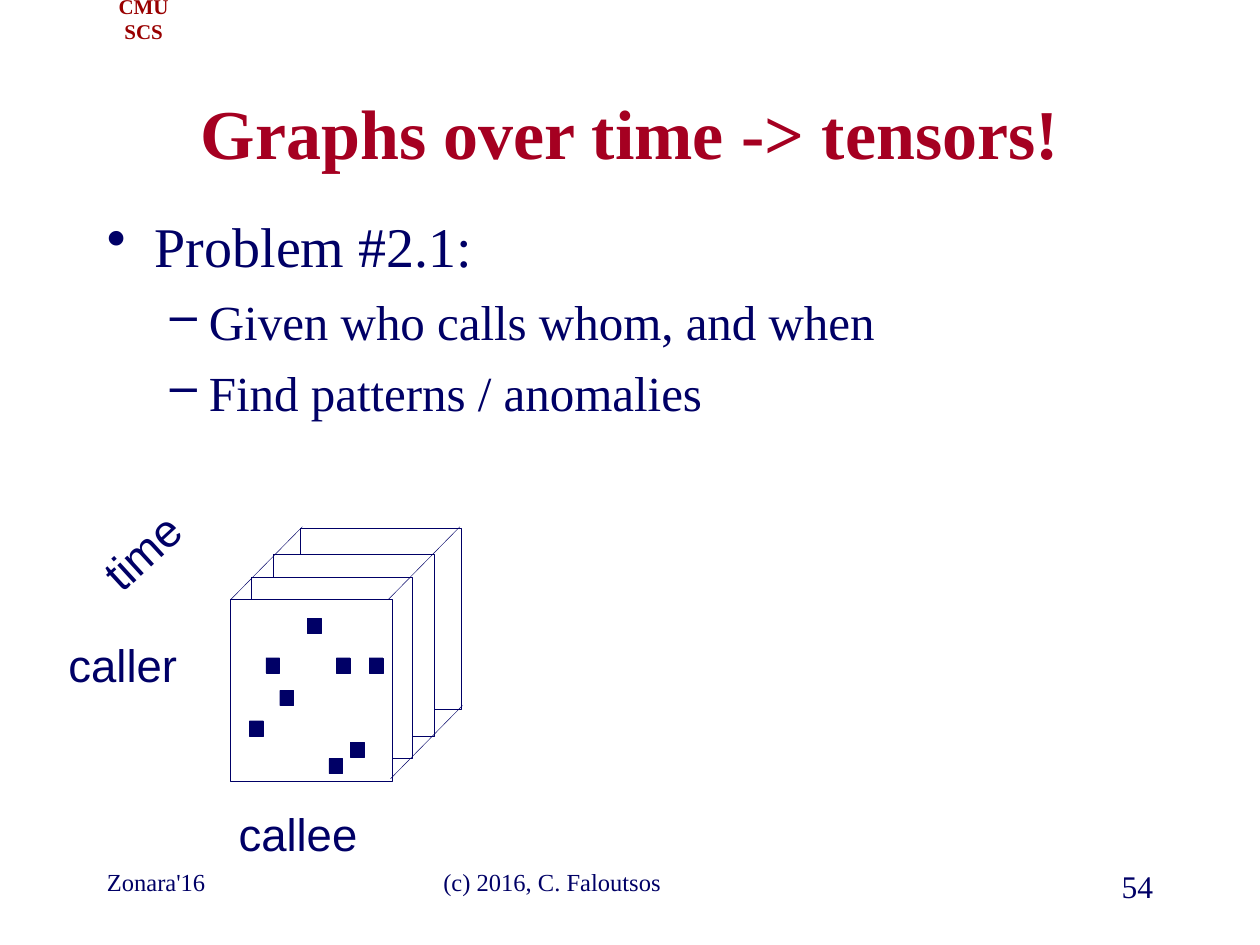
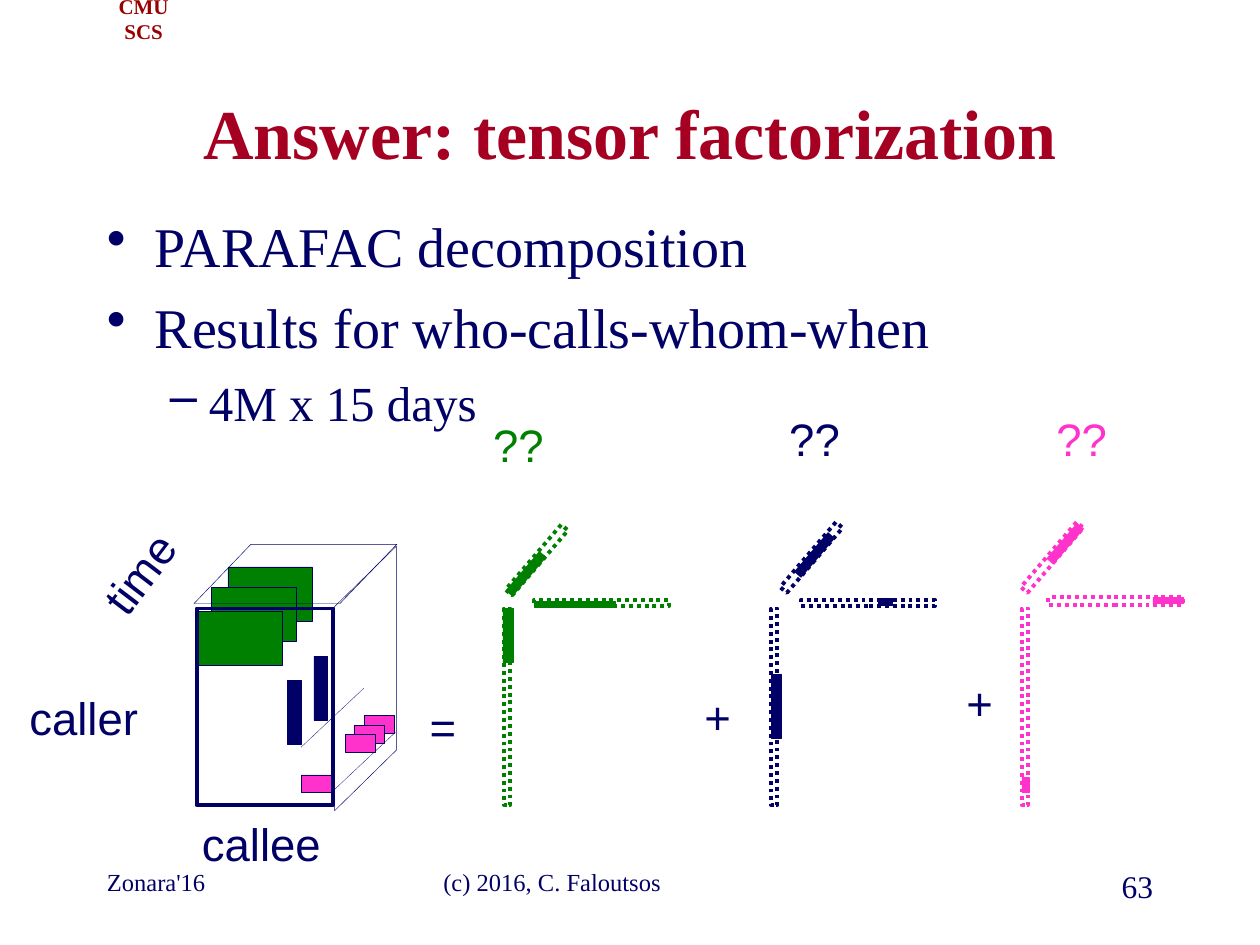
import pptx
import pptx.util
import pptx.dml.color
import pptx.enum.dml
import pptx.enum.shapes
import pptx.enum.text
import pptx.oxml.ns
import lxml.etree

COLORS = {"navy": "000066", "title": "A50021", "header": "990000",
          "green": "008000", "pink": "FF33CC", "white": "FFFFFF"}
SERIF, SANS = "Times New Roman", "Arial"
COLUMNS, ROWS = 100, 75
LEVELS = [("•", 32, 0.38, -0.38), ("–", 28, 0.81, -0.31)]
SHAPES = pptx.enum.shapes.MSO_SHAPE
ALIGN = pptx.enum.text.PP_ALIGN
ANCHOR = pptx.enum.text.MSO_ANCHOR
DOTTED = pptx.enum.dml.MSO_LINE.ROUND_DOT


def rgb(name):
    return pptx.dml.color.RGBColor.from_string(COLORS[name])


class Deck:
    def __init__(self):
        self.prs = pptx.Presentation()
        self.prs.slide_width = pptx.util.Inches(10)
        self.prs.slide_height = pptx.util.Inches(7.5)
        self.slide = None

    def x(self, columns):
        return round(self.prs.slide_width * columns / COLUMNS)

    def y(self, rows):
        return round(self.prs.slide_height * rows / ROWS)

    def box(self, at):
        left, top, width, height = at
        return self.x(left), self.y(top), self.x(width), self.y(height)

    def new_slide(self, title, number, items):
        self.slide = self.prs.slides.add_slide(self.prs.slide_layouts[6])
        self.text("CMU SCS", (6.7, 0, 9.4, 3), 12, "header", SERIF, bold=True,
                  wrap=False, anchor=ANCHOR.MIDDLE)
        self.text(title, (7.5, 6.7, 85, 7.5), 40, "title", SERIF, bold=True,
                  anchor=ANCHOR.MIDDLE)
        self.bullets(items, (7.5, 15.8, 85, 50.8))
        self.text("Zonara'16", (7.5, 68.3, 20.8, 5), 14, "navy", SERIF, ALIGN.LEFT)
        self.text("(c) 2016, C. Faloutsos", (34.2, 68.3, 31.7, 5), 14, "navy",
                  SERIF, ALIGN.LEFT)
        self.text(number, (71.7, 68.3, 20.8, 5), 18, "navy", SERIF, ALIGN.RIGHT)

    def run(self, p, text, size, color, font, bold=False):
        r = p.add_run()
        r.text = text
        r.font.size = pptx.util.Pt(size)
        r.font.name = font
        r.font.bold = bold
        r.font.color.rgb = rgb(color)

    def text(self, text, at, size, color, font, align=ALIGN.CENTER, bold=False,
             wrap=True, anchor=ANCHOR.TOP, turn=0):
        sp = self.slide.shapes.add_textbox(*self.box(at))
        sp.rotation = turn
        tf = sp.text_frame
        tf.word_wrap = wrap
        tf.vertical_anchor = anchor
        p = tf.paragraphs[0]
        p.alignment = align
        self.run(p, text, size, color, font, bold)

    def label(self, text, at, color="navy", turn=0):
        self.text(text, at, 26, color, SANS, wrap=False, turn=turn)

    def bullets(self, items, at):
        tf = self.slide.shapes.add_textbox(*self.box(at)).text_frame
        tf.word_wrap = True
        tf.margin_top = self.y(1)
        for i, (level, text) in enumerate(items):
            p = tf.add_paragraph() if i else tf.paragraphs[0]
            mark, size, margin, indent = LEVELS[level]
            p.level = level
            if i:
                p.space_before = pptx.util.Pt(size / 4)
            pPr = p._p.get_or_add_pPr()
            pPr.set("marL", str(pptx.util.Inches(margin)))
            pPr.set("indent", str(pptx.util.Inches(indent)))
            bullet = lxml.etree.SubElement(pPr, pptx.oxml.ns.qn("a:buChar"))
            bullet.set("char", mark)
            self.run(p, text, size, "navy", SERIF)

    def shape(self, at, fill=None, line="navy", width=0.25, dash=None, turn=0,
              kind=SHAPES.RECTANGLE, slant=None, flip=False):
        sp = self.slide.shapes.add_shape(kind, *self.box(at))
        sp.shadow.inherit = False
        sp.rotation = turn
        if slant is not None:
            sp.adjustments[0] = slant
        if flip:
            sp._element.spPr.find(pptx.oxml.ns.qn("a:xfrm")).set("flipV", "1")
        if fill:
            sp.fill.solid()
            sp.fill.fore_color.rgb = rgb(fill)
        else:
            sp.fill.background()
        self.stroke(sp.line, line, width, dash)

    def stroke(self, line, color, width, dash=None):
        line.color.rgb = rgb(color)
        line.width = pptx.util.Pt(width)
        if dash:
            line.dash_style = dash

    def line(self, start, end, dash=None):
        cx = self.slide.shapes.add_connector(
            pptx.enum.shapes.MSO_CONNECTOR.STRAIGHT,
            self.x(start[0]), self.y(start[1]), self.x(end[0]), self.y(end[1]))
        self.stroke(cx.line, "navy", 0.25, dash)
        lxml.etree.SubElement(cx._element.spPr, pptx.oxml.ns.qn("a:effectLst"))

    def factor(self, color, modes):
        for outline, part, turn in modes:
            self.shape(outline, None, color, 2.25, DOTTED, turn)
            self.shape(part, color, color, turn=turn)


def tensor_slide(deck):
    deck.new_slide("Graphs over time -> tensors!", "54", [
        (0, "Problem #2.1:"),
        (1, "Given who calls whom, and when"),
        (1, "Find patterns / anomalies")])
    for left, top in [(23.8, 41.9), (21.7, 44), (19.9, 45.8), (18.3, 47.6)]:
        deck.shape((left, top, 12.8, 14.4), "white")
    deck.label("callee", (17.9, 63.5, 11.5, 5.4))
    deck.label("caller", (4.4, 50.1, 10.7, 5.4))
    deck.label("time", (6.8, 41.1, 8.9, 5.4), turn=317.5)
    for left, top in [(18.3, 47.6), (30.8, 47.6), (31, 61.8)]:
        deck.line((left, top), (left + 5.7, top - 5.8))
    calls = [(26.7, 52.2), (21.1, 52.2), (29.3, 52.2), (19.8, 57.2),
             (22.2, 54.8), (24.4, 49.1), (26.1, 60.2), (27.8, 58.9)]
    for left, top in calls:
        deck.shape((left, top, 1.1, 1.2), "navy")


def cube(deck):
    for left, top in [(28.9, 56.8), (28.1, 57.6)]:
        deck.shape((left, top, 2.4, 1.4), "pink")
    for left, top in [(18.1, 45), (16.8, 46.6)]:
        deck.shape((left, top, 6.7, 4.3), "green")
    deck.shape((15.6, 48.3, 10.8, 15.6), width=2.25)
    deck.shape((22.8, 54, 1.1, 5.1), "navy")
    deck.shape((23.9, 61.5, 2.4, 1.4), "pink")
    deck.shape((15.4, 43.2, 16.1, 4.7), kind=SHAPES.PARALLELOGRAM, slant=0.96)
    deck.shape((18.5, 51.4, 21, 4.9), kind=SHAPES.PARALLELOGRAM, slant=0.98,
               turn=90, flip=True)
    deck.shape((15.7, 48.5, 6.7, 4.3), "green")
    deck.line((26.4, 62.8), (31.4, 58.1), DOTTED)
    deck.shape((27.4, 58.3, 2.4, 1.4), "pink")
    deck.shape((24.9, 52.1, 1.1, 5.1), "navy")
    deck.line((23.9, 59.3), (28.9, 54.6), DOTTED)


def factorization_slide(deck):
    deck.new_slide("Answer: tensor factorization", "63", [
        (0, "PARAFAC decomposition"),
        (0, "Results for who-calls-whom-when"),
        (1, "4M x 15 days")])
    tilt = 310.6
    factors = {
        "green": [((40, 48.3, 0.5, 15.6), (39.9, 48.3, 0.8, 4.3), 0),
                  ((42.4, 47.6, 10.7, 0.5), (42.4, 47.7, 6.4, 0.5), 0),
                  ((39.2, 44.1, 6.8, 0.7), (39.7, 45.2, 4.1, 0.7), tilt)],
        "navy": [((61.2, 48.3, 0.5, 15.6), (61.2, 53.5, 0.8, 5.1), 0),
                 ((63.6, 47.6, 10.6, 0.5), (69.7, 47.5, 1.1, 0.5), 0),
                 ((61, 43.9, 6.8, 0.7), (62.6, 43.7, 4.1, 0.7), tilt)],
        "pink": [((81.1, 48.3, 0.5, 15.6), (81.1, 61.7, 0.6, 1.2), 0),
                 ((83.2, 47.4, 10.7, 0.6), (91.5, 47.4, 2.4, 0.5), 0),
                 ((80.1, 43.9, 6.8, 0.7), (82.7, 42.8, 3.7, 0.7), tilt)]}
    for color, modes in factors.items():
        deck.factor(color, modes)
    for sign, left, top in [("=", 33.1, 55), ("+", 54.9, 54.2), ("+", 75.7, 53.1)]:
        deck.label(sign, (left, top, 4.1, 5.4))
    deck.label("caller", (1.3, 54.3, 10.7, 5.4))
    deck.label("callee", (15, 64.3, 11.5, 5.4))
    deck.label("time", (6.6, 42.8, 8.9, 5.4), turn=307.3)
    for color, left, top in [("green", 38.1, 32.6), ("navy", 61.6, 32.1),
                             ("pink", 82.8, 32.1)]:
        deck.label("??", (left, top, 6.1, 5.4), color)
    cube(deck)


def main():
    deck = Deck()
    tensor_slide(deck)
    factorization_slide(deck)
    deck.prs.save("out.pptx")


if __name__ == "__main__":
    main()
